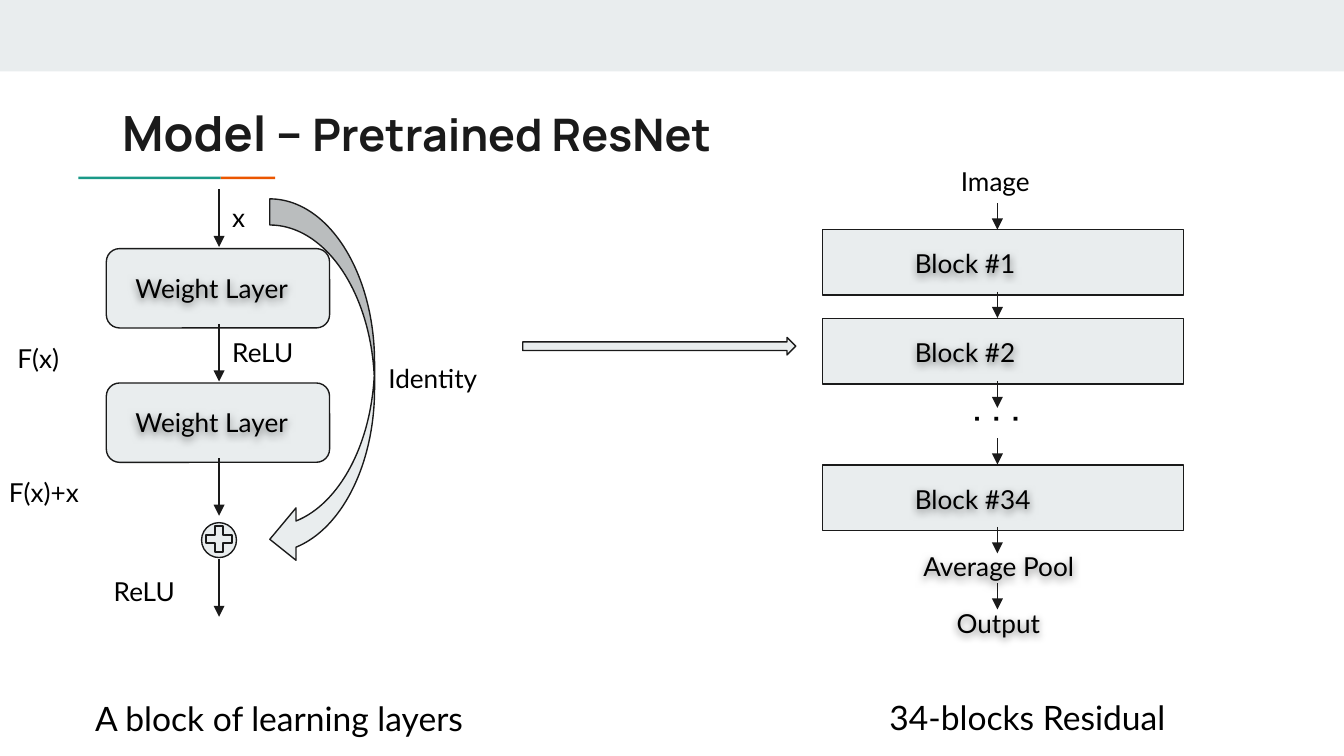
import pptx
import pptx.util
import pptx.dml.color
import pptx.oxml
import pptx.oxml.ns
import pptx.enum.shapes
import pptx.enum.text
from lxml import etree

Cm = pptx.util.Cm
Pt = pptx.util.Pt
SHAPE = pptx.enum.shapes.MSO_SHAPE
INK, PALE, BLACK = "1A1A1A", "E9EDEE", "000000"
TEAL, ORANGE = "1A9988", "EB5600"


def color(hex_code):
    return pptx.dml.color.RGBColor.from_string(hex_code)


def add_xml(parent, tag, **attributes):
    element = etree.SubElement(parent, pptx.oxml.ns.qn(tag))
    for name, value in attributes.items():
        element.set(name, value)
    return element


class ResNetSlide:
    font = "Lato"
    label_size = 14
    line_width = 0.75

    def __init__(self, deck):
        self.slide = deck.slides.add_slide(deck.slide_layouts[1])
        self.shapes = self.slide.shapes

    def fill_text(self, holder, runs, font, ink, bold=False):
        frame = holder.text_frame
        frame.word_wrap = True
        frame.auto_size = pptx.enum.text.MSO_AUTO_SIZE.NONE
        frame.vertical_anchor = pptx.enum.text.MSO_ANCHOR.TOP
        frame.margin_left = frame.margin_right = Cm(0.25)
        frame.margin_top = frame.margin_bottom = Cm(0.25)
        paragraph = frame.paragraphs[0]
        paragraph.alignment = pptx.enum.text.PP_ALIGN.LEFT
        paragraph.space_before = Pt(0)
        for text, size in runs:
            run = paragraph.add_run()
            run.text = text
            run.font.name = font
            run.font.size = Pt(size)
            run.font.bold = bold
            run.font.color.rgb = color(ink)

    def placeholder(self, index, left, top, width, height, runs, font, ink, bold=False):
        holder = self.slide.placeholders[index]
        holder.left, holder.top = Cm(left), Cm(top)
        holder.width, holder.height = Cm(width), Cm(height)
        properties = holder.text_frame.paragraphs[0]._p.get_or_add_pPr()
        properties.set("marL", "0")
        properties.set("indent", "0")
        add_xml(properties, "a:buNone")
        self.fill_text(holder, runs, font, ink, bold)

    def label(self, text, left, top, width=2.24, height=1, size=label_size, shadow=False):
        box = self.shapes.add_textbox(Cm(left), Cm(top), Cm(width), Cm(height))
        self.fill_text(box, [(text, size)], self.font, BLACK)
        if shadow:
            effects = add_xml(box._element.spPr, "a:effectLst")
            outer = add_xml(effects, "a:outerShdw", blurRad="57150", dist="19050",
                            dir="5400000", algn="bl", rotWithShape="0")
            shade = add_xml(outer, "a:srgbClr", val=BLACK)
            add_xml(shade, "a:alpha", val="50000")

    def shape(self, kind, left, top, width, height, fill=PALE, outline=True):
        shape = self.shapes.add_shape(kind, Cm(left), Cm(top), Cm(width), Cm(height))
        shape.shadow.inherit = False
        shape.fill.solid()
        shape.fill.fore_color.rgb = color(fill)
        if outline:
            shape.line.color.rgb = color(INK)
            shape.line.width = Pt(self.line_width)
        else:
            shape.line.fill.background()

    def down_arrow(self, x, top, length):
        arrow = self.shapes.add_connector(
            pptx.enum.shapes.MSO_CONNECTOR.STRAIGHT,
            Cm(x), Cm(top), Cm(x), Cm(top + length))
        arrow.line.color.rgb = color(INK)
        arrow.line.width = Pt(self.line_width)
        add_xml(arrow.line._get_or_add_ln(), "a:tailEnd", type="triangle")
        add_xml(arrow._element.spPr, "a:effectLst")


def draw_header(page):
    page.shape(SHAPE.RECTANGLE, 0, 0, 25.4, 1.35, outline=False)
    page.shape(SHAPE.RECTANGLE, 4.17, 3.34, 1.03, 0.05, ORANGE, outline=False)
    page.shape(SHAPE.RECTANGLE, 1.48, 3.34, 2.69, 0.05, TEAL, outline=False)
    page.placeholder(0, 2.06, 1.7, 21.36, 1.5,
                     [("Model -- ", 26), ("Pretrained ResNet", 24)], "Manrope", INK, True)
    page.placeholder(1, 1.55, 12.95, 10.13, 1.5,
                     [("A block of learning layers", 18)], page.font, BLACK)
    page.label("34-blocks Residual", 16.56, 12.93, 7.52, 1.24, size=18)


def draw_learning_block(page):
    axis, step = 4.14, 2.54
    page.shape(SHAPE.OVAL, 3.81, 9.88, 0.66, 0.66)
    for layer in range(2):
        top = 4.7 + layer * step
        page.shape(SHAPE.ROUNDED_RECTANGLE, 2.01, top, 4.22, 1.5)
        page.label("Weight Layer", 2.31, top + 0.2, 3.63, 1.07, shadow=True)
    for top in [3.58 + index * step for index in range(3)] + [10.57]:
        page.down_arrow(axis, top, 1.09)
    page.shape(SHAPE.MATH_PLUS, 3.81, 9.86, 0.66, 0.66)
    page.shape(SHAPE.CURVED_LEFT_ARROW, 5.1, 3.76, 1.98, 6.93)
    page.label("x", axis, 3.56, 0.79)
    for text, left, top in [("ReLU", axis, 6.1), ("ReLU", 1.9, 10.62),
                            ("Identity", 7.09, 6.6), ("F(x)", 0.08, 6.22),
                            ("F(x)+x", -0.08, 8.76)]:
        page.label(text, left, top)


def draw_network(page):
    page.shape(SHAPE.RIGHT_ARROW, 9.88, 6.38, 5.16, 0.33)
    for text, top in [("Block #1", 4.34), ("Block #2", 6.02), ("Block #34", 8.79)]:
        page.shape(SHAPE.RECTANGLE, 15.54, top, 6.83, 1.24)
        page.label(text, 17.04, top + 0.09, 3.63, 1.07, shadow=True)
    page.label("Image", 17.91, 2.87, 1.98)
    page.label("⠂⠂⠂", 18.11, 7.39, 1.8, 1.07)
    page.label("Average Pool", 17.2, 10.16, 3.63, 1.07, shadow=True)
    page.label("Output", 17.83, 11.23, 2.41, 1.07, shadow=True)
    for top in (3.84, 5.51, 7.21, 8.28, 9.96, 11.02):
        page.down_arrow(18.85, top, 0.5)


def main():
    deck = pptx.Presentation()
    deck.slide_width, deck.slide_height = Cm(25.4), Cm(14.29)
    page = ResNetSlide(deck)
    draw_header(page)
    draw_learning_block(page)
    draw_network(page)
    deck.save("out.pptx")


if __name__ == "__main__":
    main()
